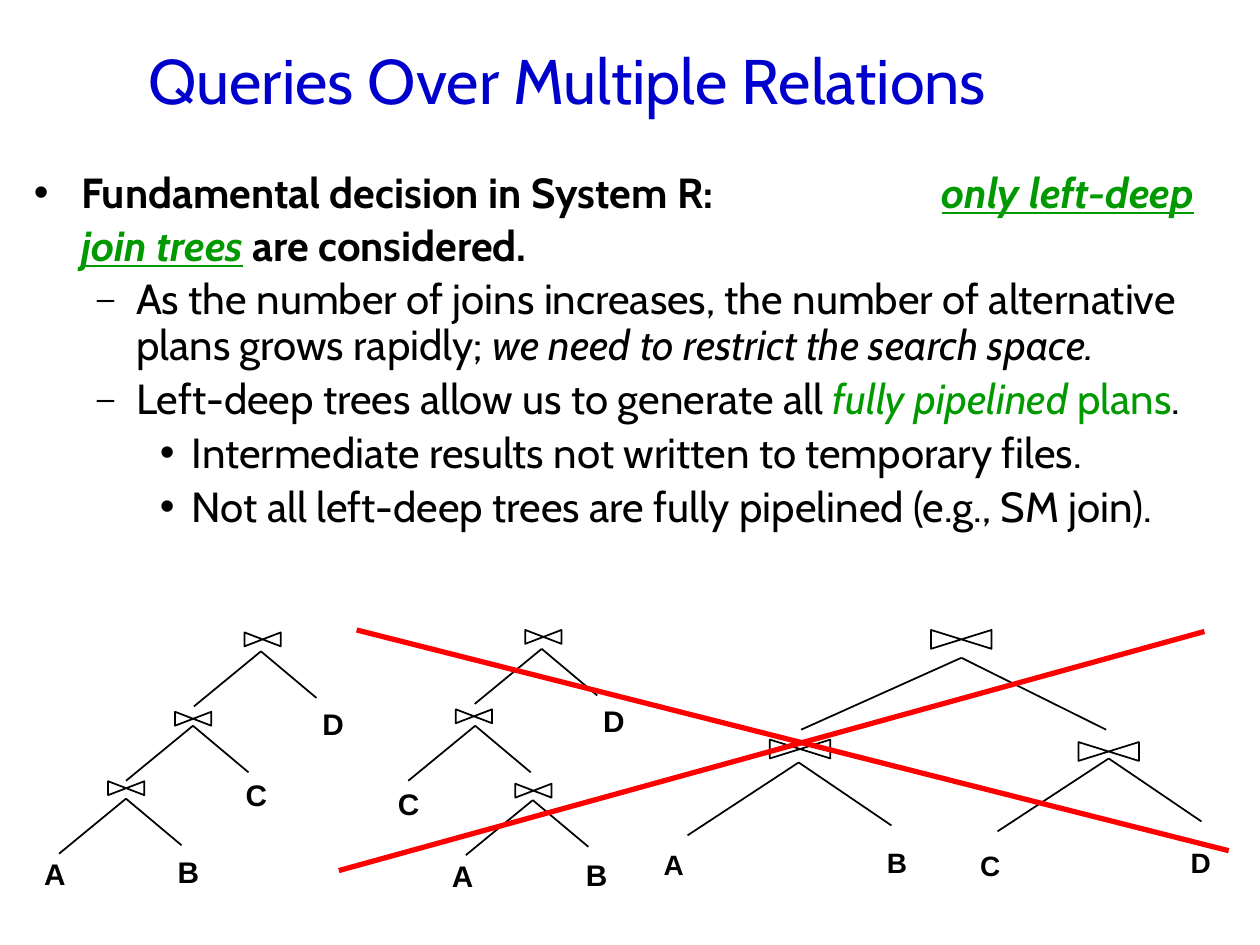
from lxml import etree
from pptx import Presentation
from pptx.dml.color import RGBColor
from pptx.enum import shapes, text
from pptx.oxml.ns import qn
from pptx.util import Cm, Pt

COLORS = {"title": "0000CC", "ink": "000000", "key": "009900", "cross": "FF0000"}


def style(run, size, font, color="ink", bold=False, italic=False, underline=False):
    run.font.size = Pt(size)
    run.font.name = font
    run.font.color.rgb = RGBColor.from_string(COLORS[color])
    run.font.bold, run.font.italic, run.font.underline = bold, italic, underline


def draw_line(parent, start, end, color="ink", width=1):
    line = parent.shapes.add_connector(
        shapes.MSO_CONNECTOR.STRAIGHT, *[Cm(v) for v in (*start, *end)])
    line.line.color.rgb = RGBColor.from_string(COLORS[color])
    line.line.width = Pt(width)
    etree.SubElement(line._element.spPr, qn("a:effectLst"))


prs = Presentation()
prs.slide_width, prs.slide_height = Cm(25.4), Cm(19.05)
slide = prs.slides.add_slide(prs.slide_layouts[1])

# Title
title = slide.shapes.title
title.left, title.top, title.width, title.height = Cm(2.74), Cm(0), Cm(21.59), Cm(3.18)
title.text_frame.text = "Queries Over Multiple Relations"
title.text_frame.vertical_anchor = text.MSO_ANCHOR.MIDDLE
title.text_frame.auto_size = text.MSO_AUTO_SIZE.NONE
title.text_frame.paragraphs[0].alignment = text.PP_ALIGN.LEFT
style(title.text_frame.paragraphs[0].runs[0], 36, "Cabin", "title")

# Bulleted list: level, then runs of wording and emphasis
KEY = {"color": "key"}
ITALIC = {"italic": True}
BOLD = {"bold": True}
points = [
    (0, [("Fundamental decision in System R:\t", BOLD),
         ("only left-deep join trees", {**KEY, **ITALIC, **BOLD, "underline": True}),
         (" are considered.", BOLD)]),
    (1, [("As the number of joins increases, the number of alternative plans grows rapidly; ", {}),
         ("we need to restrict the search space.", ITALIC)]),
    (1, [("Left-deep trees allow us to generate all ", {}),
         ("fully pipelined ", {**KEY, **ITALIC}), ("plans", KEY), (".", {})]),
    (2, [("Intermediate results not written to temporary files.", {})]),
    (2, [("Not all left-deep trees are fully pipelined (e.g., SM join).", {})]),
]
# Per level: left margin, hanging indent, line spacing, bullet, bullet size in %
levels = [(0.95, 0.95, 1.05, "•", 100), (2.06, 0.79, 0.9, "–", 75), (3.18, 0.64, 0.9, "•", 100)]

body = slide.placeholders[1]
body.left, body.top, body.width, body.height = Cm(0.43), Cm(3.18), Cm(24.97), Cm(9.32)
body.text_frame.auto_size = text.MSO_AUTO_SIZE.NONE
for i, (level, parts) in enumerate(points):
    point = body.text_frame.paragraphs[0] if i == 0 else body.text_frame.add_paragraph()
    margin, hanging, spacing, bullet, bullet_size = levels[level]
    point.level = level
    point.alignment = text.PP_ALIGN.LEFT
    point.line_spacing = spacing
    point.space_before = Pt(5 if i else 0)
    props = point._p.get_or_add_pPr()
    props.set("marL", str(Cm(margin)))
    props.set("indent", str(-Cm(hanging)))
    etree.SubElement(props, qn("a:buSzPct"), val=str(bullet_size * 1000))
    etree.SubElement(props, qn("a:buFont"), typeface="Arial")
    etree.SubElement(props, qn("a:buChar"), char=bullet)
    if i == 0:
        tabs = etree.SubElement(props, qn("a:tabLst"))
        etree.SubElement(tabs, qn("a:tab"), pos=str(Cm(18.3)), algn="l")
    for wording, emphasis in parts:
        run = point.add_run()
        run.text = wording
        style(run, 24, "Cabin", **emphasis)

# Join trees: each join has the corner of its bowtie and the apex of its branches
small_branches = [(-1.35, 1.11), (1.12, 0.94)]
large_branches = [(-2.24, 1.47), (1.87, 1.27)]
root_branches = [(-3.23, 1.45), (2.92, 1.45)]
trees = [
    {"bowtie": (0.73, 0.28), "size": 17, "label": 0.95,
     "joins": [((4.93, 12.75), (5.26, 13.13), small_branches),
               ((3.53, 14.35), (3.89, 14.63), small_branches),
               ((2.18, 15.75), (2.54, 16.1), small_branches)],
     "relations": {"A": (0.64, 17.12), "B": (3.33, 17.09), "C": (4.7, 15.54), "D": (6.25, 14.1)}},
    {"bowtie": (0.73, 0.28), "size": 17, "label": 0.95,
     "joins": [((10.59, 12.7), (10.92, 13.08), small_branches),
               ((9.19, 14.3), (9.58, 14.63), small_branches),
               ((10.39, 15.8), (10.74, 16.13), small_branches)],
     "relations": {"A": (8.86, 17.17), "B": (11.56, 17.15), "C": (7.77, 15.72), "D": (11.91, 14.05)}},
    {"bowtie": (1.22, 0.38), "size": 16, "label": 0.91,
     "joins": [((18.77, 12.7), (19.38, 13.26), root_branches),
               ((15.52, 14.91), (16.1, 15.37), large_branches),
               ((21.74, 14.96), (22.35, 15.29), large_branches)],
     "relations": {"A": (13.13, 16.97), "B": (17.63, 16.92), "C": (19.51, 16.99), "D": (23.75, 16.92)}},
]
for tree in trees:
    group = slide.shapes.add_group_shape()
    width, height = tree["bowtie"]
    for (x, y), (apex_x, apex_y), branches in tree["joins"]:
        outline = group.shapes.build_freeform(Cm(x), Cm(y))
        outline.add_line_segments(
            [(Cm(x + width), Cm(y + height)), (Cm(x + width), Cm(y)), (Cm(x), Cm(y + height))],
            close=True)
        bowtie = outline.convert_to_shape()
        bowtie.shadow.inherit = False
        bowtie.fill.background()
        bowtie.line.color.rgb = RGBColor.from_string(COLORS["ink"])
        bowtie.line.width = Pt(1)
        for dx, dy in branches:
            draw_line(group, (apex_x, apex_y), (apex_x + dx, apex_y + dy))
    for name, (x, y) in tree["relations"].items():
        relation = group.shapes.add_textbox(Cm(x), Cm(y), Cm(tree["label"]), Cm(tree["label"]))
        relation.text_frame.text = name
        relation.text_frame.word_wrap = False
        relation.text_frame.auto_size = text.MSO_AUTO_SIZE.SHAPE_TO_FIT_TEXT
        style(relation.text_frame.paragraphs[0].runs[0], tree["size"], "Arial", bold=True)

# Red cross over the trees that are not left-deep
cross = slide.shapes.add_group_shape()
for start, end in [((7.19, 12.7), (24.77, 17.15)), ((6.83, 17.55), (24.28, 12.73))]:
    draw_line(cross, start, end, "cross", 3)

prs.save("out.pptx")
